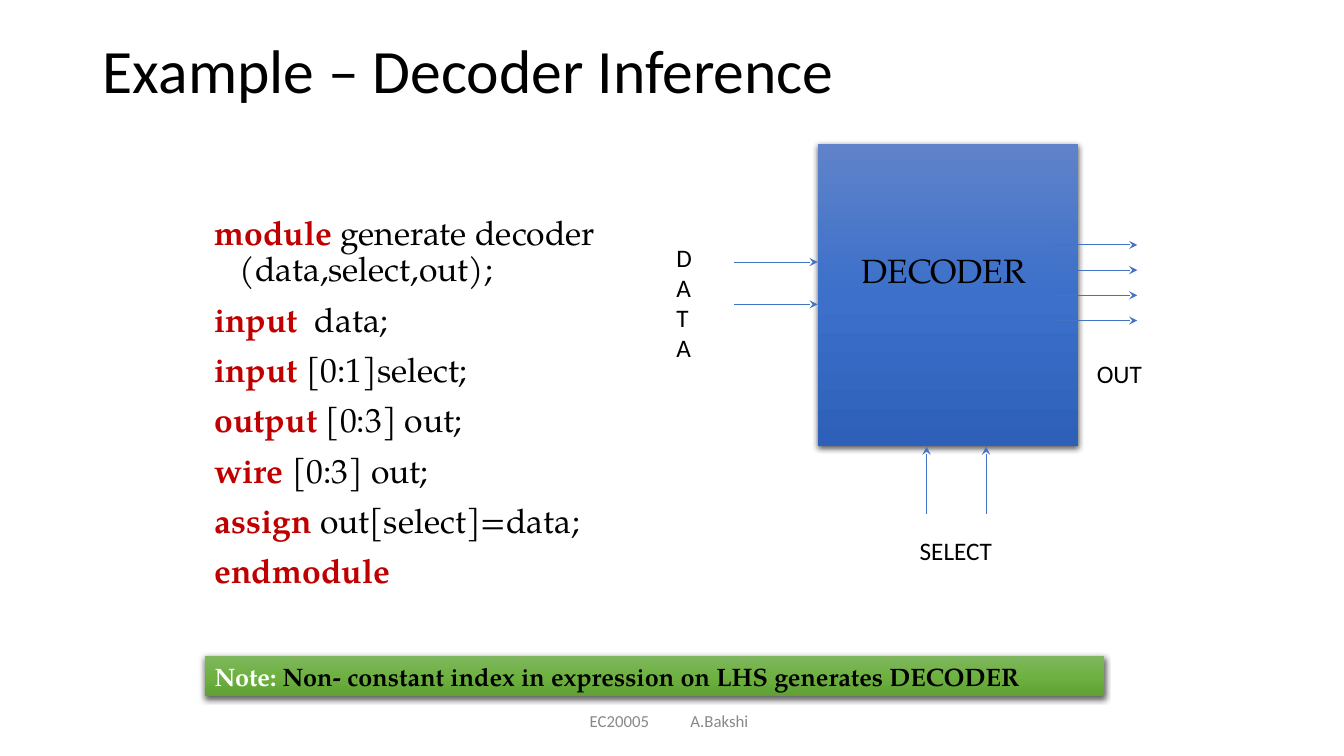
import copy

import pptx
import pptx.dml.color
import pptx.enum.shapes
import pptx.enum.text
import pptx.oxml
import pptx.oxml.ns
import pptx.util

Inches = pptx.util.Inches
Pt = pptx.util.Pt
RGB = pptx.dml.color.RGBColor.from_string
ALIGN = pptx.enum.text.PP_ALIGN
ANCHOR = pptx.enum.text.MSO_ANCHOR
RECTANGLE = pptx.enum.shapes.MSO_SHAPE.RECTANGLE
STRAIGHT = pptx.enum.shapes.MSO_CONNECTOR.STRAIGHT
NS = pptx.oxml.ns.nsdecls("a")

SANS = "Calibri"
SERIF = "TeX Gyre Pagella"
COLORS = {
    "text": "000000",
    "keyword": "C00000",
    "note": "FFFFFF",
    "footer": "888888",
    "arrow": "4472C4",
}
BLUES = ["5F82CA", "3C70CA", "2E60B9"]
GREENS = ["7FB75F", "6EB141", "5FA134"]


def write(shape, paragraphs, size=18, font=SANS, align=ALIGN.LEFT,
          anchor=ANCHOR.TOP, line=1.0, gap=0, hanging=0, indent=0, tab=None):
    """Fill a shape with paragraphs, each a list of (text, colour, bold) runs."""
    frame = shape.text_frame
    frame.word_wrap = True
    frame.auto_size = pptx.enum.text.MSO_AUTO_SIZE.NONE
    frame.vertical_anchor = anchor
    for i, runs in enumerate(paragraphs):
        paragraph = frame.paragraphs[0] if i == 0 else frame.add_paragraph()
        paragraph.alignment = align
        paragraph.line_spacing = line
        paragraph.space_before = Pt(gap if i else 0)
        properties = paragraph._p.get_or_add_pPr()
        properties.set("marL", str(Inches(hanging + indent)))
        properties.set("indent", str(-Inches(hanging)))
        if tab:
            properties.append(pptx.oxml.parse_xml(
                f'<a:tabLst {NS}><a:tab pos="{Inches(tab)}" algn="l"/></a:tabLst>'))
        for text, color, bold in runs:
            run = paragraph.add_run()
            run.text = text
            run.font.name = font
            run.font.size = Pt(size)
            run.font.bold = bold
            run.font.color.rgb = RGB(COLORS[color])


def add_panel(shapes, box, shades):
    """Add a borderless rectangle with a vertical gradient and a soft shadow."""
    panel = shapes.add_shape(RECTANGLE, *map(Inches, box))
    panel.line.fill.background()
    panel.fill.gradient()
    panel.fill.gradient_angle = 270
    first_stop = panel.fill.gradient_stops[0]._gs
    first_stop.addnext(copy.deepcopy(first_stop))
    for i, (stop, shade) in enumerate(zip(panel.fill.gradient_stops, shades)):
        stop.position = i / 2
        stop.color.rgb = RGB(shade)
    panel.shadow.inherit = False
    effects = panel._element.spPr.find(pptx.oxml.ns.qn("a:effectLst"))
    effects.append(pptx.oxml.parse_xml(
        f'<a:outerShdw {NS} blurRad="{Pt(4.5)}" dist="{Pt(1.5)}" dir="5400000" '
        'algn="ctr" rotWithShape="0"><a:srgbClr val="000000">'
        '<a:alpha val="63000"/></a:srgbClr></a:outerShdw>'))
    return panel


presentation = pptx.Presentation()
presentation.slide_width = Inches(13.33)
presentation.slide_height = Inches(7.5)
slide = presentation.slides.add_slide(presentation.slide_layouts[5])

title = slide.shapes.title
title.left, title.top, title.width, title.height = map(Inches, (0.92, 0, 11.5, 1.45))
write(title, [[("Example – Decoder Inference", "text", False)]],
      size=44, anchor=ANCHOR.MIDDLE, line=0.9)

# Verilog listing: keyword, then the rest of the statement
statements = [
    ("module", " generate decoder (data,select,out);"),
    ("input", "  data;"),
    ("input", " [0:1]select;"),
    ("output", " [0:3] out;"),
    ("wire", " [0:3] out;"),
    ("assign", " out[select]=data;"),
    ("endmodule", ""),
]
code = slide.shapes.add_textbox(*map(Inches, (2.03, 2.1, 4.25, 4.95)))
write(code,
      [[(keyword, "keyword", True)] + ([(rest, "text", False)] if rest else [])
       for keyword, rest in statements],
      size=24, font=SERIF, line=0.9, gap=10, hanging=0.25)

note = add_panel(slide.shapes, (2.03, 6.51, 8.92, 0.4), GREENS)
write(note, [[("Note: ", "note", True),
              ("Non- constant index in expression on LHS generates DECODER", "text", True)]],
      font=SERIF)

# Decoder diagram
diagram = slide.shapes.add_group_shape().shapes
add_panel(diagram, (8.11, 1.43, 2.58, 3), BLUES)

data_arrows = [(7.28, y, 8.11, y) for y in (2.6, 3.02)]
out_arrows = [(10.44, 2.43 + 0.25 * i, 11.28, 2.43 + 0.25 * i) for i in range(4)]
select_arrows = [(x, 5.1, x, 4.43) for x in (9.19, 9.78)]
for ends in data_arrows + out_arrows + select_arrows:
    arrow = diagram.add_connector(STRAIGHT, *map(Inches, ends))
    arrow.line.color.rgb = RGB(COLORS["arrow"])
    arrow.line.width = Pt(0.75)
    arrow.line._get_or_add_ln().append(
        pptx.oxml.parse_xml(f'<a:tailEnd {NS} type="stealth"/>'))
    arrow._element.spPr.append(pptx.oxml.parse_xml(f"<a:effectLst {NS}/>"))

labels = [
    (["DECODER"], (8.36, 2.43, 2, 0.5), 24, SERIF, ALIGN.CENTER),
    (list("DATA"), (6.61, 2.35, 0.58, 1.31), 18, SANS, ALIGN.LEFT),
    (["SELECT"], (8.44, 5.26, 2.08, 0.4), 18, SANS, ALIGN.CENTER),
    (["OUT"], (10.78, 3.51, 0.75, 0.4), 18, SANS, ALIGN.LEFT),
]
for lines, box, size, font, align in labels:
    label = diagram.add_textbox(*map(Inches, box))
    write(label, [[(text, "text", False)] for text in lines],
          size=size, font=font, align=align)

footer = slide.shapes.add_textbox(*map(Inches, (4.42, 6.95, 4.5, 0.4)))
write(footer, [[("EC20005\tA.Bakshi", "footer", False)]],
      size=12, anchor=ANCHOR.MIDDLE, indent=1.33, tab=2.37)

presentation.save("out.pptx")
